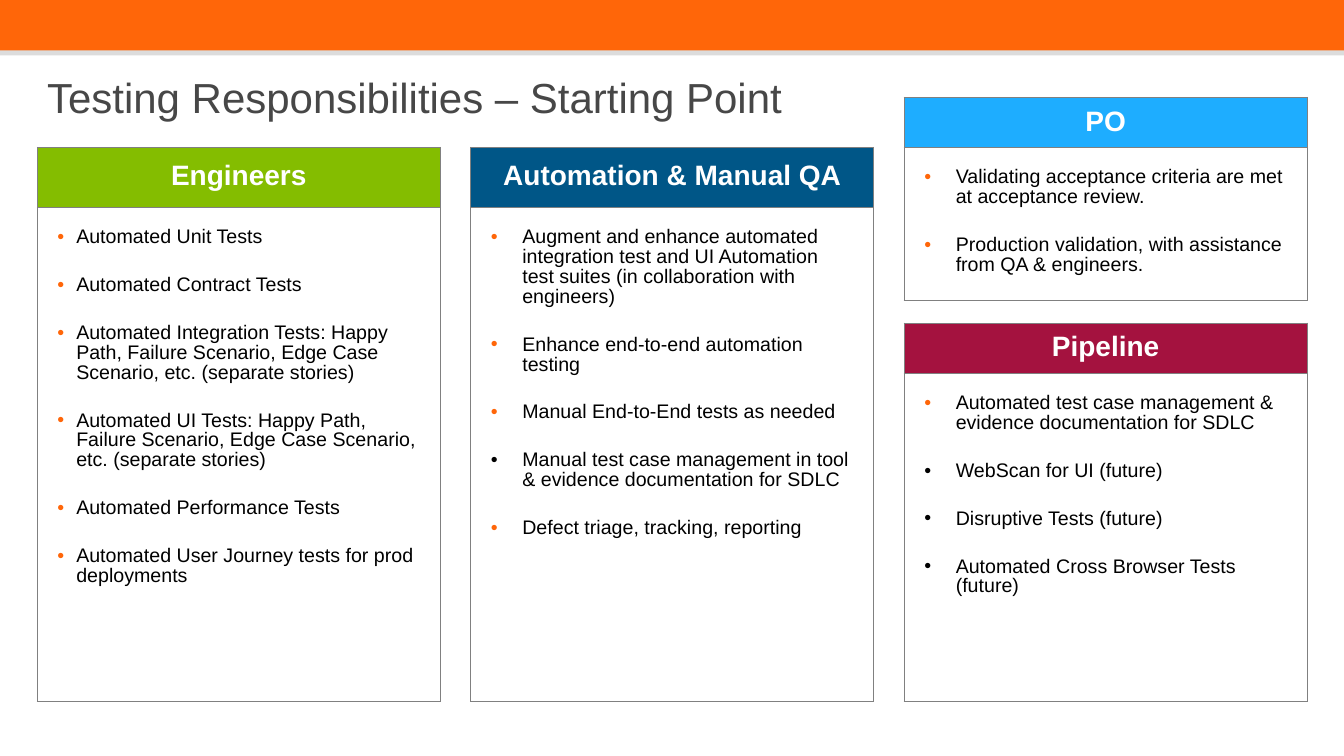
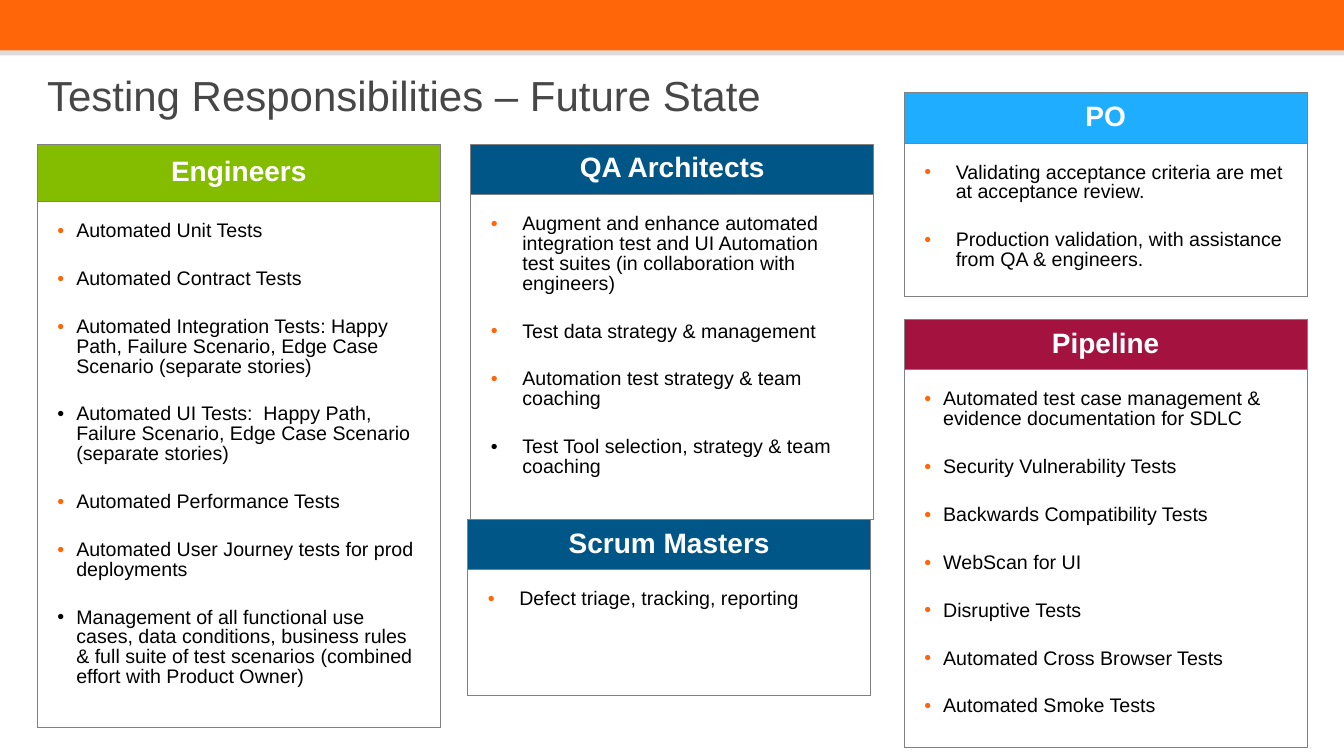
from dataclasses import dataclass

from lxml import etree
from pptx import Presentation
from pptx.dml.color import RGBColor
from pptx.enum.shapes import MSO_SHAPE
from pptx.enum.text import MSO_ANCHOR, PP_ALIGN
from pptx.oxml.ns import qn
from pptx.util import Pt

RECTANGLE = MSO_SHAPE.RECTANGLE
TOP, MIDDLE = MSO_ANCHOR.TOP, MSO_ANCHOR.MIDDLE
LEFT, CENTER = PP_ALIGN.LEFT, PP_ALIGN.CENTER

# Shared style, lengths in points
FONT = "Arial"
ORANGE, LIGHT_GRAY, TITLE_GRAY, BORDER_GRAY = "FF6609", "DCDCDC", "474747", "808080"
GREEN, NAVY, CRIMSON, SKY = "84BD00", "005687", "A4123F", "1EADFF"
WHITE, BLACK = "FFFFFF", "000000"
SLIDE_WIDTH, SLIDE_HEIGHT = 960, 540
MARGIN, CARD_WIDTH, COLUMN_PITCH = 26.6, 288, 309.6
COLUMNS = [MARGIN + COLUMN_PITCH * index for index in range(3)]
HEADER_HEIGHT = 35
NARROW, WIDE = 13.5, 22.5


@dataclass
class Bullet:
    text: str
    color: str = ORANGE


@dataclass
class Card:
    heading: str
    color: str
    left: float
    top: float
    body_height: float
    bullets: list[Bullet]
    indent: float = WIDE
    header_height: float = HEADER_HEIGHT


@dataclass
class SlideContent:
    title: str
    title_top: float
    cards: list[Card]


def rgb(color: str) -> RGBColor:
    return RGBColor.from_string(color)


def add_text(paragraph, text: str, size: float, color: str, bold: bool = False) -> None:
    run = paragraph.add_run()
    run.text = text
    run.font.name = FONT
    run.font.size = Pt(size)
    run.font.bold = bold
    run.font.color.rgb = rgb(color)


def set_spacing(paragraph, line: float, before: float, alignment=LEFT) -> None:
    paragraph.line_spacing = line
    paragraph.space_before = Pt(before)
    paragraph.alignment = alignment


def set_bullet(paragraph, color: str, indent: float) -> None:
    properties = paragraph._p.get_or_add_pPr()
    properties.set("marL", str(Pt(indent)))
    properties.set("indent", str(-Pt(indent)))
    bullet_color = etree.SubElement(properties, qn("a:buClr"))
    etree.SubElement(bullet_color, qn("a:srgbClr"), val=color)
    etree.SubElement(properties, qn("a:buFont"), typeface=FONT)
    etree.SubElement(properties, qn("a:buChar"), char="•")


def style_cell(cell, fill: str, margin: float, anchor) -> None:
    cell.margin_left = cell.margin_right = Pt(margin)
    cell.margin_top = cell.margin_bottom = Pt(margin)
    cell.vertical_anchor = anchor
    properties = cell._tc.get_or_add_tcPr()
    for side in ("lnL", "lnR", "lnT", "lnB"):
        line = etree.SubElement(properties, qn(f"a:{side}"), w=str(Pt(0.75)))
        line_fill = etree.SubElement(line, qn("a:solidFill"))
        etree.SubElement(line_fill, qn("a:srgbClr"), val=BORDER_GRAY)
    cell.fill.solid()
    cell.fill.fore_color.rgb = rgb(fill)


def add_band(slide, height: float, color: str) -> None:
    band = slide.shapes.add_shape(RECTANGLE, 0, 0, Pt(SLIDE_WIDTH), Pt(height))
    band.shadow.inherit = False
    band.fill.solid()
    band.fill.fore_color.rgb = rgb(color)
    band.line.fill.background()


def add_title(slide, text: str, top: float) -> None:
    box = slide.shapes.add_textbox(Pt(MARGIN), Pt(top), Pt(546), Pt(61.2))
    frame = box.text_frame
    frame.word_wrap = True
    frame.vertical_anchor = MIDDLE
    frame.margin_left = frame.margin_right = frame.margin_top = Pt(7.2)
    frame.margin_bottom = 0
    paragraph = frame.paragraphs[0]
    set_spacing(paragraph, 0.85, 12)
    add_text(paragraph, text, 30, TITLE_GRAY)


def add_card(slide, card: Card) -> None:
    height = card.header_height + card.body_height
    table = slide.shapes.add_table(
        2, 1, Pt(card.left), Pt(card.top), Pt(CARD_WIDTH), Pt(height)).table
    table.first_row = table.horz_banding = False
    table.rows[0].height = Pt(card.header_height)
    table.rows[1].height = Pt(card.body_height)

    # Coloured heading
    header = table.cell(0, 0)
    style_cell(header, card.color, 7.2, MIDDLE)
    paragraph = header.text_frame.paragraphs[0]
    set_spacing(paragraph, 0.9, 12, CENTER)
    add_text(paragraph, card.heading, 20, WHITE, bold=True)

    # Bulleted responsibilities
    body = table.cell(1, 0)
    style_cell(body, WHITE, 14.4, TOP)
    frame = body.text_frame
    for index, bullet in enumerate(card.bullets):
        paragraph = frame.add_paragraph() if index else frame.paragraphs[0]
        set_spacing(paragraph, 0.9, 20)
        set_bullet(paragraph, bullet.color, card.indent)
        add_text(paragraph, bullet.text, 14, BLACK)


def add_content_slide(presentation, content: SlideContent) -> None:
    slide = presentation.slides.add_slide(presentation.slide_layouts[6])
    add_band(slide, 39.6, LIGHT_GRAY)
    add_band(slide, 36, ORANGE)
    add_title(slide, content.title, content.title_top)
    for card in content.cards:
        add_card(slide, card)


# Bullets that appear on both slides
UNIT_AND_CONTRACT = [Bullet("Automated Unit Tests"), Bullet("Automated Contract Tests")]
PERFORMANCE_AND_JOURNEY = [
    Bullet("Automated Performance Tests"),
    Bullet("Automated User Journey tests for prod deployments"),
]
PRODUCT_OWNER = [
    Bullet("Validating acceptance criteria are met at acceptance review."),
    Bullet("Production validation, with assistance from QA & engineers."),
]
TEST_CASE_MANAGEMENT = Bullet(
    "Automated test case management & evidence documentation for SDLC")
DEFECT_TRIAGE = Bullet("Defect triage, tracking, reporting")

STARTING_POINT = SlideContent("Testing Responsibilities – Starting Point", 37.4, [
    Card("Engineers", GREEN, COLUMNS[0], 105.2, 352.8, [
        *UNIT_AND_CONTRACT,
        Bullet("Automated Integration Tests: Happy Path, Failure Scenario, "
               "Edge Case Scenario, etc. (separate stories)"),
        Bullet("Automated UI Tests: Happy Path, Failure Scenario, "
               "Edge Case Scenario, etc. (separate stories)"),
        *PERFORMANCE_AND_JOURNEY,
    ], NARROW, 43.2),
    Card("Automation & Manual QA", NAVY, COLUMNS[1], 105.2, 352.8, [
        Bullet("Augment and enhance automated integration test and UI Automation "
               "test suites (in collaboration with engineers)"),
        Bullet("Enhance end-to-end automation testing"),
        Bullet("Manual End-to-End tests as needed"),
        Bullet("Manual test case management in tool & evidence documentation for SDLC",
               BLACK),
        DEFECT_TRIAGE,
    ], header_height=43.2),
    Card("Pipeline", CRIMSON, COLUMNS[2], 230.8, 234.5, [
        TEST_CASE_MANAGEMENT,
        Bullet("WebScan for UI (future)", BLACK),
        Bullet("Disruptive Tests (future)", BLACK),
        Bullet("Automated Cross Browser Tests (future)", BLACK),
    ]),
    Card("PO", SKY, COLUMNS[2], 69.5, 105.5, PRODUCT_OWNER),
])

FUTURE_STATE = SlideContent("Testing Responsibilities – Future State", 36.4, [
    Card("Engineers", GREEN, COLUMNS[0], 103, 375.5, [
        *UNIT_AND_CONTRACT,
        Bullet("Automated Integration Tests: Happy Path, Failure Scenario, "
               "Edge Case Scenario (separate stories)"),
        Bullet("Automated UI Tests:  Happy Path, Failure Scenario, "
               "Edge Case Scenario (separate stories)", BLACK),
        *PERFORMANCE_AND_JOURNEY,
        Bullet("Management of all functional use cases, data conditions, "
               "business rules & full suite of test scenarios "
               "(combined effort with Product Owner)", BLACK),
    ], NARROW, 41),
    Card("QA Architects", NAVY, COLUMNS[1], 103, 232, [
        Bullet("Augment and enhance automated integration test and UI Automation "
               "test suites (in collaboration with engineers)"),
        Bullet("Test data strategy & management"),
        Bullet("Automation test strategy & team coaching"),
        Bullet("Test Tool selection, strategy & team coaching", BLACK),
    ]),
    Card("Pipeline", CRIMSON, COLUMNS[2], 228.2, 262.5, [
        TEST_CASE_MANAGEMENT,
        Bullet("Security Vulnerability Tests"),
        Bullet("Backwards Compatibility Tests"),
        Bullet("WebScan for UI"),
        Bullet("Disruptive Tests"),
        Bullet("Automated Cross Browser Tests"),
        Bullet("Automated Smoke Tests"),
    ], NARROW),
    Card("Scrum Masters", NAVY, COLUMNS[1] - 2.2, 371, 89.5, [DEFECT_TRIAGE]),
    Card("PO", SKY, COLUMNS[2], 66.2, 108, PRODUCT_OWNER),
])


def main() -> None:
    presentation = Presentation()
    presentation.slide_width = Pt(SLIDE_WIDTH)
    presentation.slide_height = Pt(SLIDE_HEIGHT)
    for content in (STARTING_POINT, FUTURE_STATE):
        add_content_slide(presentation, content)
    presentation.save("out.pptx")


if __name__ == "__main__":
    main()
